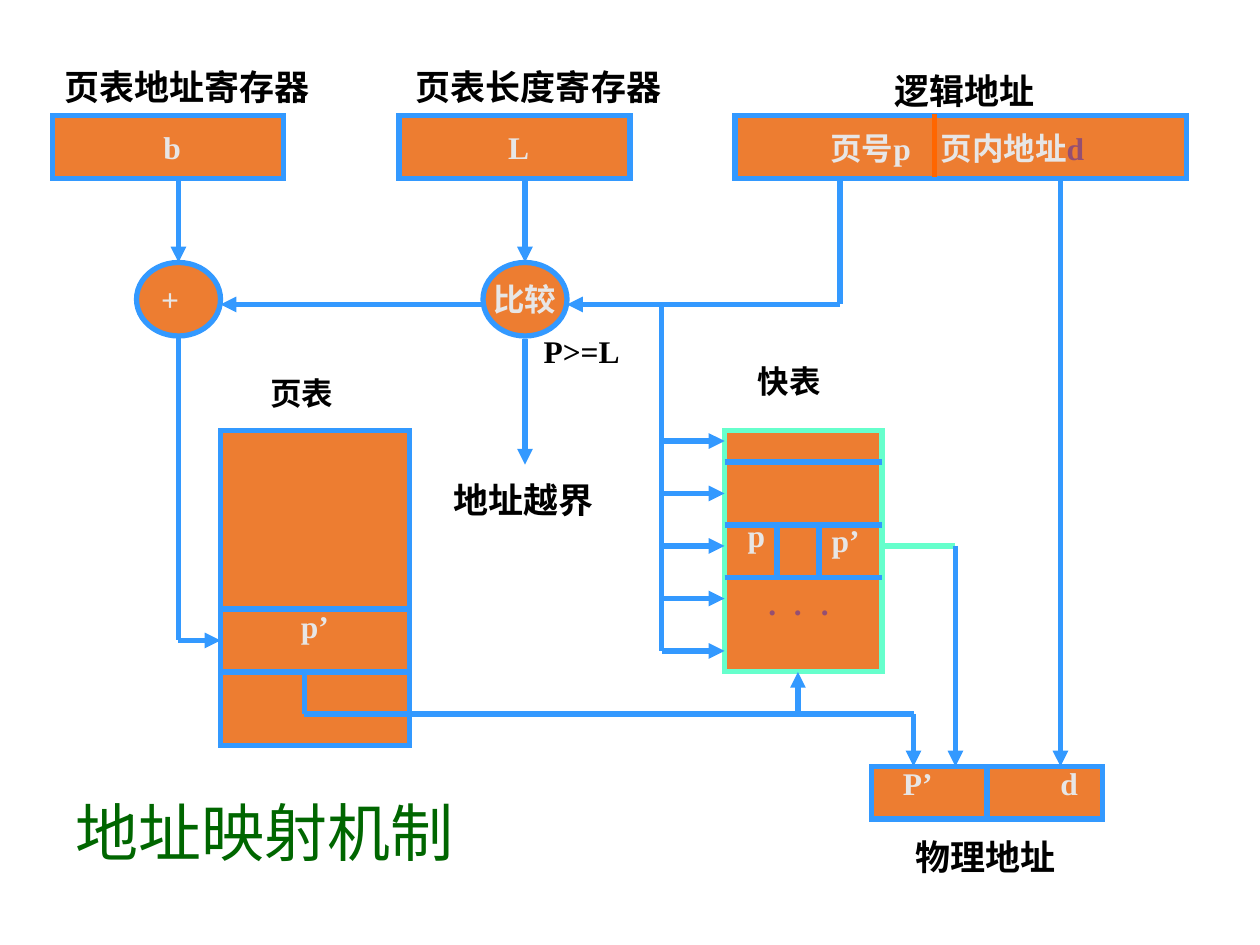
from lxml import etree
from pptx import Presentation
from pptx.dml.color import RGBColor
from pptx.enum.shapes import MSO_CONNECTOR, MSO_SHAPE
from pptx.enum.text import MSO_ANCHOR, MSO_AUTO_SIZE, PP_ALIGN
from pptx.oxml.ns import qn
from pptx.util import Pt

RECT, OVAL = MSO_SHAPE.RECTANGLE, MSO_SHAPE.OVAL
STRAIGHT = MSO_CONNECTOR.STRAIGHT
LEFT, CENTER = PP_ALIGN.LEFT, PP_ALIGN.CENTER
MIDDLE = MSO_ANCHOR.MIDDLE
FIT_SHAPE = MSO_AUTO_SIZE.SHAPE_TO_FIT_TEXT
color = RGBColor.from_string
BLUE, MINT, ORANGE, RED = "3399FF", "66FFCC", "ED7D31", "FF6600"
BLACK, PALE, PURPLE, GREEN = "000000", "E7E6E6", "954F72", "006600"
SERIF = "Times New Roman"

deck = Presentation()
deck.slide_width, deck.slide_height = Pt(720), Pt(540)
page = deck.slides.add_slide(deck.slide_layouts[6])


def add_span(para, text, ink, size=18, font=SERIF, bold=True):
    span = para.add_run()
    span.text = text
    span.font.name, span.font.size, span.font.bold = font, Pt(size), bold
    span.font.color.rgb = color(ink)


def add_line(x1, y1, x2, y2, arrow=False, ink=BLUE):
    line = page.shapes.add_connector(STRAIGHT, Pt(x1), Pt(y1), Pt(x2), Pt(y2))
    line.line.color.rgb = color(ink)
    line.line.width = Pt(3)
    if arrow:
        outline = line.line._get_or_add_ln()
        etree.SubElement(outline, qn("a:tailEnd"), type="triangle")
    etree.SubElement(line._element.spPr, qn("a:effectLst"))
    return line


# Registers, operators, tables and addresses:
# shape, left, top, width, height, outline, left inset, top inset, alignment, spans
blocks = {
    "page table": (RECT, 126, 246, 108, 180, BLUE, 7.2, 47, CENTER, [("p’", PALE)]),
    "length register": (RECT, 228, 66, 132, 36, BLUE, 11.7, 3.6, CENTER, [("L", PALE)]),
    "compare": (OVAL, 276, 150, 48, 42, BLUE, 7.2, 3.6, CENTER, [("比较", PALE)]),
    "fast table": (RECT, 414, 246, 90, 138, MINT, 7.2, 3.6, CENTER, []),
    "base register": (RECT, 30, 66, 132, 36, BLUE, 11.7, 3.6, CENTER, [("b", PALE)]),
    "add": (OVAL, 78, 150, 48, 42, BLUE, 7.2, 3.6, LEFT, [("+", PALE)]),
    "logical address": (RECT, 420, 66, 258, 36, BLUE, 54.5, 4.6, LEFT,
                        [("页号p\t页内地址", PALE), ("d", PURPLE)]),
    "physical address": (RECT, 498, 438, 132, 30, BLUE, 7.2, 3.6, CENTER, []),
}
boxes = {}
for name, (kind, x, y, w, h, edge, inset, drop, align, spans) in blocks.items():
    box = page.shapes.add_shape(kind, Pt(x), Pt(y), Pt(w), Pt(h))
    box.shadow.inherit = False
    box.fill.solid()
    box.fill.fore_color.rgb = color(ORANGE)
    box.line.color.rgb = color(edge)
    box.line.width = Pt(3)
    etree.SubElement(box.line._get_or_add_ln(), qn("a:miter"), lim="800000")
    boxes[name] = box
    if not spans:
        continue
    frame = box.text_frame
    frame.word_wrap = kind == RECT
    frame.vertical_anchor = MIDDLE
    frame.margin_left, frame.margin_top = Pt(inset), Pt(drop)
    para = frame.paragraphs[0]
    para.alignment = align
    for text, ink in spans:
        add_span(para, text, ink)

# The page offset starts at a tab stop just after the divider
offset_props = boxes["logical address"].text_frame.paragraphs[0]._p.get_or_add_pPr()
stops = etree.SubElement(offset_props, qn("a:tabLst"))
etree.SubElement(stops, qn("a:tab"), pos=str(Pt(63)), algn="l")

# Row and column dividers
for y in (348, 384):
    add_line(126, y, 234, y)
for y in (264, 300, 330):
    add_line(414, y, 504, y)
for x in (444, 468):
    add_line(x, 300, x, 330)
add_line(534, 65, 534, 101, ink=RED)
divider = add_line(564, 438, 564, 468)
divider.begin_connect(boxes["physical address"], 0)
divider.end_connect(boxes["physical address"], 2)

# Registers into the operators, and on to the page table
for x in (102, 300):
    add_line(x, 102, x, 150, arrow=True)
add_line(300, 193.5, 300, 265.5, arrow=True)
add_line(276, 174, 126, 174, arrow=True)
add_line(102, 192, 102, 366)
add_line(102, 366, 126, 366, arrow=True)

# Page number to the comparison and to every row of the fast table
add_line(480, 102, 480, 174)
add_line(480, 174, 324, 174, arrow=True)
add_line(378, 174, 378, 372)
for row in range(5):
    add_line(378, 252 + 30 * row, 414, 252 + 30 * row, arrow=True)

# Frame number and offset to the physical address
add_line(174, 384, 174, 408)
add_line(174, 408, 522, 408)
add_line(522, 408, 522, 438, arrow=True)
add_line(456, 408, 456, 384, arrow=True)
add_line(504, 312, 546, 312, ink=MINT)
add_line(546, 312, 546, 438, arrow=True)
add_line(606, 102, 606, 438, arrow=True)

# Labels: text, left, top, width, height, colour, size
labels = [
    ("页表地址寄存器", 29.8, 34, 155.5, 31, BLACK, 20),
    ("页表长度寄存器", 230.5, 34, 155.5, 31, BLACK, 20),
    ("逻辑地址", 504, 36, 95, 31, BLACK, 20),
    ("地址越界", 252, 270, 95, 31, BLACK, 20),
    ("物理地址", 516, 474, 95, 31, BLACK, 20),
    ("页表", 147.2, 210, 62.5, 36, BLACK, 18),
    ("快表", 425.8, 203.5, 62.5, 36, BLACK, 18),
    ("P>=L", 303.6, 186, 72.5, 36, BLACK, 18),
    ("p", 427.2, 294.6, 10, 21, PALE, 18),
    ("p’", 475.2, 297.6, 16, 21, PALE, 18),
    ("P’", 516, 436.5, 17, 21, PALE, 18),
    ("d", 606, 436.5, 10, 21, PALE, 18),
    *[(".", x, 330, 20, 36, PURPLE, 18) for x in (432, 446.5, 462)],
    ("地址映射机制", 36, 450, 240, 60, GREEN, 36),
]
for text, x, y, w, h, ink, size in labels:
    box = page.shapes.add_textbox(Pt(x), Pt(y), Pt(w), Pt(h))
    frame = box.text_frame
    frame.word_wrap = False
    frame.auto_size = FIT_SHAPE
    if ink == PALE:  # cell entries fit tightly inside their cells
        frame.margin_left = frame.margin_right = Pt(0)
        frame.margin_top = frame.margin_bottom = Pt(0)
    is_title = size == 36
    add_span(frame.paragraphs[0], text, ink, size,
             "Arial Narrow" if is_title else SERIF, not is_title)

deck.save("out.pptx")
